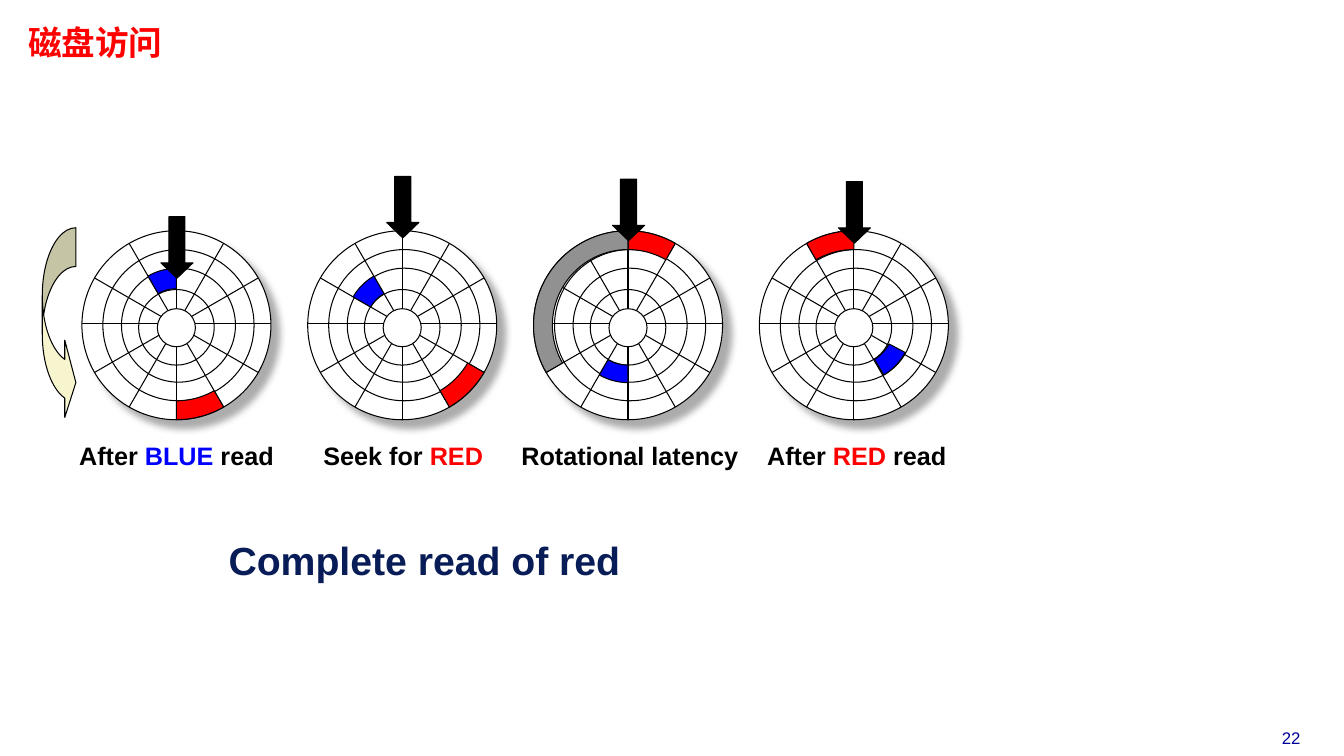
from dataclasses import dataclass
from math import cos, radians, sin

from lxml.etree import SubElement
from pptx import Presentation
from pptx.dml.color import RGBColor
from pptx.enum.shapes import MSO_CONNECTOR, MSO_SHAPE
from pptx.enum.text import MSO_ANCHOR, PP_ALIGN
from pptx.oxml.ns import qn
from pptx.shapes.autoshape import Shape
from pptx.shapes.group import GroupShape
from pptx.slide import Slide
from pptx.util import Pt

BLACK = RGBColor(0, 0, 0)
WHITE = RGBColor(255, 255, 255)
RED = RGBColor(255, 0, 0)
BLUE = RGBColor(0, 0, 255)
GRAY = RGBColor(0x91, 0x91, 0x91)
CREAM = RGBColor(0xF7, 0xF5, 0xCD)
NAVY = RGBColor(0x08, 0x1D, 0x58)
INDIGO = RGBColor(0, 0, 0x99)

FIRST_X, DISK_Y, DISK_STEP = 126, 232.3, 161.3
LABEL_STEP = 162
RIM = 67.5
OUTER = (54, RIM)
INNER = (26, 40.5)


@dataclass(frozen=True)
class Run:
    text: str
    color: RGBColor = BLACK


@dataclass(frozen=True)
class Ring:
    radius: float
    dx: float = 0
    dy: float = 0


@dataclass(frozen=True)
class Sector:
    color: RGBColor
    band: tuple[float, float]
    start: int
    end: int


@dataclass(frozen=True)
class Disk:
    label: tuple[Run, ...]
    arrow_top: float
    sectors: tuple[Sector, ...]


RINGS = (Ring(54, 1.5), Ring(40.7, 1.5), Ring(27, 0, 1.5))
HUB = Ring(13.6, 0, 1.8)

DISKS = (
    Disk((Run("After "), Run("BLUE ", BLUE), Run("read")), 154.8,
         (Sector(BLUE, INNER, 330, 360), Sector(RED, OUTER, 150, 180))),
    Disk((Run("Seek for "), Run("RED", RED)), 126,
         (Sector(RED, OUTER, 120, 150), Sector(BLUE, INNER, 300, 330))),
    Disk((Run("Rotational latency"),), 128,
         (Sector(RED, OUTER, 0, 30), Sector(BLUE, (28.5, 41), 180, 210),
          Sector(GRAY, OUTER, 240, 360))),
    Disk((Run("After "), Run("RED", RED), Run(" read")), 129.8,
         (Sector(RED, OUTER, 330, 360), Sector(BLUE, (28.5, 41.5), 118, 149))),
)


def paint(shape: Shape, color: RGBColor) -> None:
    shape.shadow.inherit = False
    shape.fill.solid()
    shape.fill.fore_color.rgb = color
    shape.line.color.rgb = BLACK
    shape.line.width = Pt(0.75)


def add_text(slide: Slide, box: tuple[float, float, float, float],
             runs: tuple[Run, ...], size: float, font: str = "Arial",
             bold: bool = True, align: PP_ALIGN = PP_ALIGN.CENTER,
             anchor: MSO_ANCHOR = MSO_ANCHOR.TOP,
             pad: tuple[float, float] = (7.2, 3.6), pitch: float = 1) -> None:
    frame = slide.shapes.add_textbox(*map(Pt, box)).text_frame
    frame.word_wrap = True
    frame.vertical_anchor = anchor
    frame.margin_left = frame.margin_right = Pt(pad[0])
    frame.margin_top = frame.margin_bottom = Pt(pad[1])
    line = frame.paragraphs[0]
    line.alignment = align
    line.line_spacing = pitch
    for item in runs:
        run = line.add_run()
        run.text = item.text
        run.font.name = font
        run.font.size = Pt(size)
        run.font.bold = bold
        run.font.color.rgb = item.color
        SubElement(run.font._element, qn("a:ea"), typeface=font)


def add_ring(group: GroupShape, x: float, ring: Ring) -> Shape:
    side = Pt(2 * ring.radius)
    shape = group.shapes.add_shape(
        MSO_SHAPE.OVAL, Pt(x + ring.dx - ring.radius),
        Pt(DISK_Y + ring.dy - ring.radius), side, side)
    paint(shape, WHITE)
    return shape


def add_shade(shape: Shape) -> None:
    effect = shape._element.spPr.find(qn("a:effectLst"))
    shade = SubElement(effect, qn("a:outerShdw"), blurRad=str(Pt(5)),
                       dist=str(Pt(8.5)), dir="2700000", algn="ctr",
                       rotWithShape="0")
    color = SubElement(shade, qn("a:srgbClr"), val=str(GRAY))
    SubElement(color, qn("a:alpha"), val="75000")


def polar(x: float, radius: float, angle: float) -> tuple[int, int]:
    turn = radians(angle)
    return Pt(x + radius * sin(turn)), Pt(DISK_Y - radius * cos(turn))


def add_spoke(group: GroupShape, x: float, angle: int) -> None:
    spoke = group.shapes.add_connector(
        MSO_CONNECTOR.STRAIGHT, *polar(x, RIM, angle),
        *polar(x, RIM, angle + 180))
    if angle == 90:
        spoke.top -= Pt(1.2)
    spoke.line.color.rgb = BLACK
    spoke.line.width = Pt(0.75)
    SubElement(spoke._element.spPr, qn("a:effectLst"))


def add_sector(group: GroupShape, x: float, sector: Sector) -> None:
    low, high = sector.band
    steps = (sector.end - sector.start) // 3
    span = [sector.start + (sector.end - sector.start) * i / steps
            for i in range(steps + 1)]
    points = [polar(x, high, angle) for angle in span]
    points += [polar(x, low, angle) for angle in reversed(span)]
    pen = group.shapes.build_freeform(*points[0])
    pen.add_line_segments(points[1:], close=True)
    paint(pen.convert_to_shape(), sector.color)


def add_disk(slide: Slide, x: float, disk: Disk) -> None:
    group = slide.shapes.add_group_shape()
    add_shade(add_ring(group, x, Ring(RIM)))
    for ring in RINGS:
        add_ring(group, x, ring)
    for angle in range(0, 180, 30):
        add_spoke(group, x, angle)
    add_ring(group, x, HUB)
    for sector in disk.sectors:
        add_sector(group, x, sector)
    arrow = group.shapes.add_shape(
        MSO_SHAPE.DOWN_ARROW, Pt(x - 11.1), Pt(disk.arrow_top),
        Pt(23), Pt(44))
    arrow.adjustments[0] = 0.5
    arrow.adjustments[1] = 0.48
    paint(arrow, BLACK)


def main() -> None:
    deck = Presentation()
    deck.slide_width, deck.slide_height = Pt(960), Pt(540)
    slide = deck.slides.add_slide(deck.slide_layouts[6])

    add_text(slide, (888.5, 516.2, 67.7, 21.6), (Run("22", INDIGO),), 12,
             bold=False)
    add_text(slide, (15.1, 17.3, 414, 29.5), (Run("磁盘访问", RED),), 24,
             font="Noto Sans Mono", align=PP_ALIGN.LEFT, pad=(5, 2.2),
             pitch=0.87)
    for i, disk in enumerate(DISKS):
        middle = FIRST_X + LABEL_STEP * i
        add_text(slide, (middle - 96, 311, 192, 28.8), disk.label, 18)
        add_disk(slide, FIRST_X + DISK_STEP * i, disk)

    spin = slide.shapes.add_shape(MSO_SHAPE.CURVED_RIGHT_ARROW, Pt(30.2),
                                  Pt(162.7), Pt(24), Pt(138.2))
    for i, value in enumerate((1.15, 2.3, 0.33)):
        spin.adjustments[i] = value
    paint(spin, CREAM)
    add_text(slide, (156.2, 354.2, 426.2, 66.2),
             (Run("Complete read of red", NAVY),), 28,
             align=PP_ALIGN.LEFT, anchor=MSO_ANCHOR.BOTTOM)
    deck.save("out.pptx")


if __name__ == "__main__":
    main()
